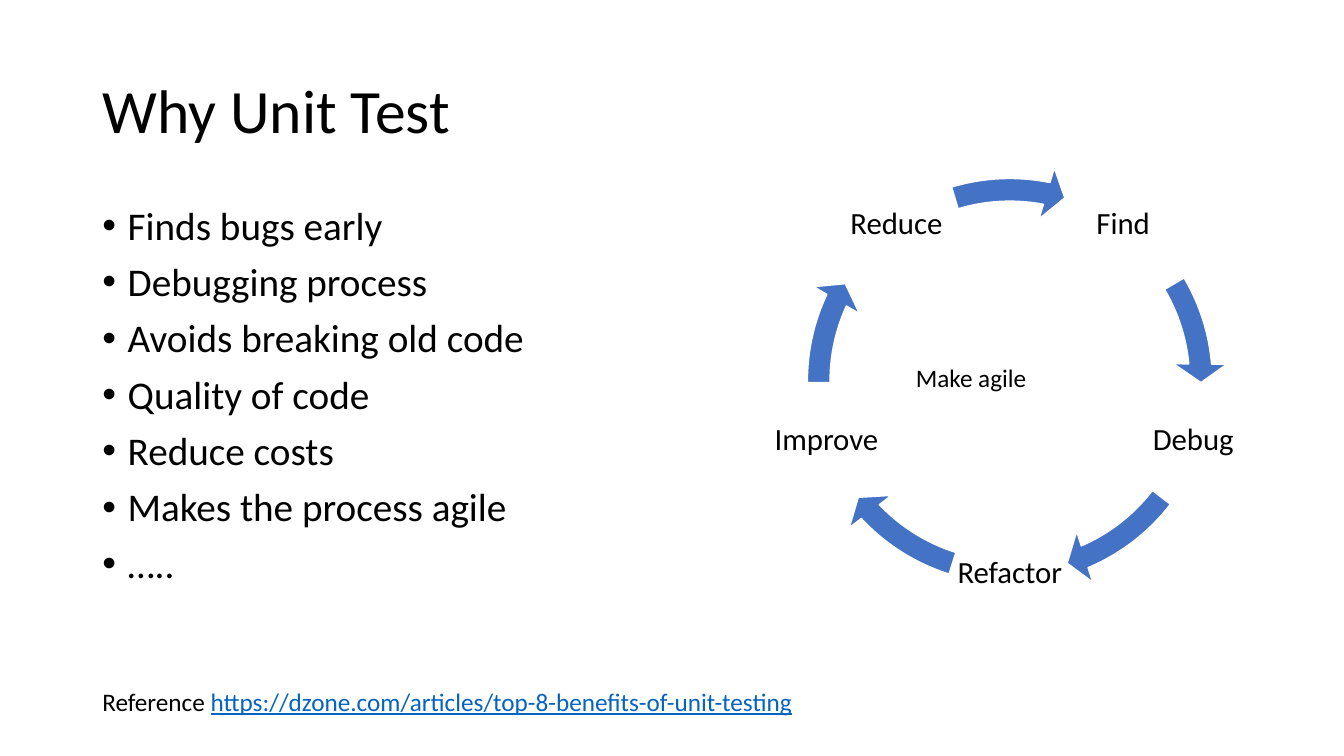
from dataclasses import dataclass
from math import cos, radians, sin

from lxml.etree import SubElement
from pptx import Presentation
from pptx.dml.color import RGBColor
from pptx.enum.shapes import MSO_SHAPE as Shape
from pptx.enum.text import MSO_ANCHOR as Anchor, MSO_AUTO_SIZE as AutoSize, PP_ALIGN as Align
from pptx.oxml.ns import qn
from pptx.util import Cm, Pt

# Content
TITLE = "Why Unit Test"
BENEFITS = [
    "Finds bugs early",
    "Debugging process",
    "Avoids breaking old code",
    "Quality of code",
    "Reduce costs",
    "Makes the process agile",
    "…..",
]
# Each step, with the start and end angle of the arrow that follows it
CYCLE = [
    ("Find", 329.41, 354.91),
    ("Debug", 37.53, 66.94),
    ("Refactor", 107.47, 136.88),
    ("Improve", 179.5, 204.99),
    ("Reduce", 253.29, 281.12),
]
CYCLE_CENTRE = "Make agile"
REFERENCE = "Reference "
ADDRESS = "https://dzone.com/articles/top-8-benefits-of-unit-testing"


@dataclass(frozen=True)
class Theme:
    font: str = "Calibri"
    text: RGBColor = RGBColor(0x00, 0x00, 0x00)
    link: RGBColor = RGBColor(0x05, 0x63, 0xC1)
    arrow: RGBColor = RGBColor(0x44, 0x72, 0xC4)
    outline: RGBColor = RGBColor(0xFF, 0xFF, 0xFF)
    title_size: int = 44
    body_size: int = 28
    step_size: int = 22
    note_size: int = 18


THEME = Theme()

# Layout, in centimetres
LEFT = 2.33
CENTRE_X, CENTRE_Y = 25.45, 9.6
STEP_RADIUS, STEP_SIZE, STEP_INSET = 4.86, 2.92, 0.08
RING_SIZE = 10.97
FIRST_ANGLE = -54
BULLET_INDENT = 0.64
# Ring thickness and head width are shares of the ring size; the head length is in degrees
RING_THICKNESS, HEAD_DEGREES, HEAD_WIDTH = 0.052, 5.59, 0.061
ANGLE_UNIT = 0.6  # adjustment value of one degree


def add_span(para, text, size, color=THEME.text):
    span = para.add_run()
    span.text = text
    span.font.name = THEME.font
    span.font.size = Pt(size)
    span.font.color.rgb = color
    return span


def add_box(page, left, top, width, height, wrap=True):
    box = page.shapes.add_textbox(Cm(left), Cm(top), Cm(width), Cm(height))
    box.text_frame.word_wrap = wrap
    return box.text_frame


def add_bullet(para):
    properties = para._p.get_or_add_pPr()
    properties.set("marL", str(Cm(BULLET_INDENT)))
    properties.set("indent", str(-Cm(BULLET_INDENT)))
    SubElement(properties, qn("a:buFont"), typeface="Arial")
    SubElement(properties, qn("a:buChar"), char="•")


def add_title(page):
    title = page.shapes.title
    title.left, title.top, title.width, title.height = Cm(LEFT), Cm(1.01), Cm(29.21), Cm(3.68)
    frame = title.text_frame
    frame.auto_size = AutoSize.NONE
    frame.vertical_anchor = Anchor.MIDDLE
    para = frame.paragraphs[0]
    para.alignment = Align.LEFT
    para.line_spacing = 0.9
    add_span(para, TITLE, THEME.title_size)


def add_benefits(page):
    frame = add_box(page, LEFT, 5.07, 14.9, 12.09)
    for index, benefit in enumerate(BENEFITS):
        para = frame.add_paragraph() if index else frame.paragraphs[0]
        add_bullet(para)
        para.line_spacing = 0.9
        if index:
            para.space_before = Pt(10)
        add_span(para, benefit, THEME.body_size)


def add_step(page, name, angle):
    middle_x = CENTRE_X + STEP_RADIUS * cos(radians(angle))
    middle_y = CENTRE_Y + STEP_RADIUS * sin(radians(angle))
    half = STEP_SIZE / 2
    frame = add_box(page, middle_x - half, middle_y - half, STEP_SIZE, STEP_SIZE)
    frame.margin_left = frame.margin_right = Cm(STEP_INSET)
    frame.margin_top = frame.margin_bottom = Cm(STEP_INSET)
    frame.vertical_anchor = Anchor.MIDDLE
    para = frame.paragraphs[0]
    para.alignment = Align.CENTER
    para.line_spacing = 0.9
    add_span(para, name, THEME.step_size)


def add_arrow(page, start, end):
    half = RING_SIZE / 2
    arrow = page.shapes.add_shape(
        Shape.CIRCULAR_ARROW, Cm(CENTRE_X - half), Cm(CENTRE_Y - half), Cm(RING_SIZE), Cm(RING_SIZE)
    )
    angles = [degrees * ANGLE_UNIT for degrees in (HEAD_DEGREES, end, start)]
    for index, value in enumerate([RING_THICKNESS, *angles, HEAD_WIDTH]):
        arrow.adjustments[index] = value
    arrow.shadow.inherit = False
    arrow.fill.solid()
    arrow.fill.fore_color.rgb = THEME.arrow
    arrow.line.color.rgb = THEME.outline
    arrow.line.width = Pt(1)


def add_cycle(page):
    for index, (name, start, end) in enumerate(CYCLE):
        add_step(page, name, FIRST_ANGLE + index * 360 / len(CYCLE))
        add_arrow(page, start, end)
    frame = add_box(page, 22.83, 9.0, 3.33, 1.03, wrap=False)
    add_span(frame.paragraphs[0], CYCLE_CENTRE, THEME.note_size)


def add_reference(page):
    para = add_box(page, LEFT, 17.17, 22.83, 1.03).paragraphs[0]
    add_span(para, REFERENCE, THEME.note_size)
    add_span(para, ADDRESS, THEME.note_size, THEME.link).font.underline = True


def main():
    deck = Presentation()
    deck.slide_width, deck.slide_height = Cm(33.87), Cm(19.05)
    page = deck.slides.add_slide(deck.slide_layouts[5])
    add_title(page)
    add_benefits(page)
    add_cycle(page)
    add_reference(page)
    deck.save("out.pptx")


if __name__ == "__main__":
    main()
